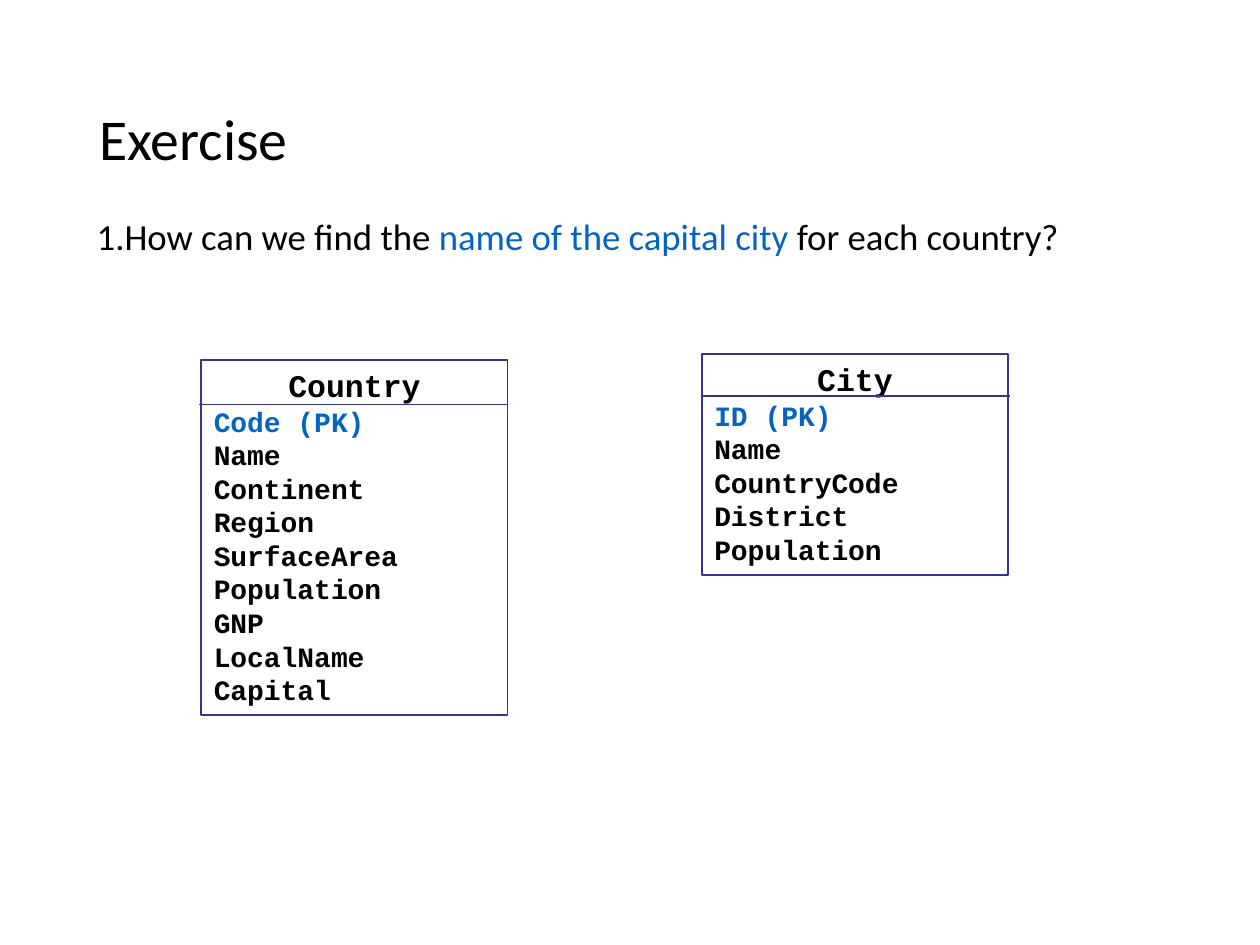
from lxml import etree
from pptx import Presentation
from pptx.dml.color import RGBColor
from pptx.enum.shapes import MSO_CONNECTOR, MSO_SHAPE
from pptx.enum.text import MSO_ANCHOR, PP_ALIGN
from pptx.oxml.ns import qn
from pptx.util import Cm, Pt

RECT, STRAIGHT = MSO_SHAPE.RECTANGLE, MSO_CONNECTOR.STRAIGHT
TOP, MIDDLE = MSO_ANCHOR.TOP, MSO_ANCHOR.MIDDLE
LEFT, CENTER = PP_ALIGN.LEFT, PP_ALIGN.CENTER

COLORS = {"text": "000000", "accent": "0563C1", "border": "333399"}
TITLE = [("Exercise", "text")]
QUESTION = [
    ("How can we find the ", "text"),
    ("name of the capital city", "accent"),
    (" for each country?", "text"),
]
ENTITIES = [
    {"name": "Country", "key": "Code (PK)",
     "columns": ["Name", "Continent", "Region", "SurfaceArea", "Population",
                 "GNP", "LocalName", "Capital"],
     "box": (4.06, 7.26, 6.17, 7.16), "rule": (4.01, 10.24, 8.15)},
    {"name": "City", "key": "ID (PK)",
     "columns": ["Name", "CountryCode", "District", "Population"],
     "box": (14.15, 7.14, 6.17, 4.45), "rule": (14.15, 20.37, 7.98)},
]
FORMATS = {
    "title": {"name": "Calibri", "size": Pt(33)},
    "question": {"name": "Calibri", "size": Pt(21)},
    "heading": {"name": "Courier New", "size": Pt(18), "bold": True},
    "column": {"name": "Courier New", "size": Pt(16), "bold": True},
}


def color(name):
    return RGBColor.from_string(COLORS[name])


def add_runs(p, runs, style):
    for text, tint in runs:
        r = p.add_run()
        r.text = text
        for attr, value in FORMATS[style].items():
            setattr(r.font, attr, value)
        r.font.color.rgb = color(tint)


def add_text(s, box, runs, style, anchor):
    tf = s.shapes.add_textbox(*map(Cm, box)).text_frame
    tf.word_wrap = True
    tf.vertical_anchor = anchor
    p = tf.paragraphs[0]
    p.line_spacing = 0.9
    add_runs(p, runs, style)
    return p


def number(p, indent):
    pPr = p._p.get_or_add_pPr()
    pPr.set("marL", str(indent))
    pPr.set("indent", str(-indent))
    etree.SubElement(pPr, qn("a:buAutoNum"), type="arabicPeriod")


def add_entity(s, entity):
    sp = s.shapes.add_shape(RECT, *map(Cm, entity["box"]))
    sp.shadow.inherit = False
    sp.fill.background()
    sp.line.color.rgb = color("border")
    sp.line.width = Pt(1)
    tf = sp.text_frame
    tf.word_wrap = True
    tf.vertical_anchor = TOP
    rows = [(entity["name"], "text", "heading", CENTER),
            (entity["key"], "accent", "column", LEFT)]
    rows += [(column, "text", "column", LEFT) for column in entity["columns"]]
    for i, (text, tint, style, align) in enumerate(rows):
        p = tf.add_paragraph() if i else tf.paragraphs[0]
        p.alignment = align
        add_runs(p, [(text, tint)], style)

    x1, x2, y = map(Cm, entity["rule"])
    rule = s.shapes.add_connector(STRAIGHT, x1, y, x2, y)
    rule.line.color.rgb = color("border")
    rule.line.width = Pt(0.75)
    etree.SubElement(rule._element.spPr, qn("a:effectLst"))


def main():
    prs = Presentation()
    prs.slide_width, prs.slide_height = Cm(25.4), Cm(19.05)
    s = prs.slides.add_slide(prs.slide_layouts[6])
    add_text(s, (1.75, 1.02, 21.9, 3.68), TITLE, "title", MIDDLE)
    p = add_text(s, (1.7, 4.29, 22, 2.62), QUESTION, "question", TOP)
    number(p, Cm(0.48))
    for entity in ENTITIES:
        add_entity(s, entity)
    prs.save("out.pptx")


if __name__ == "__main__":
    main()
